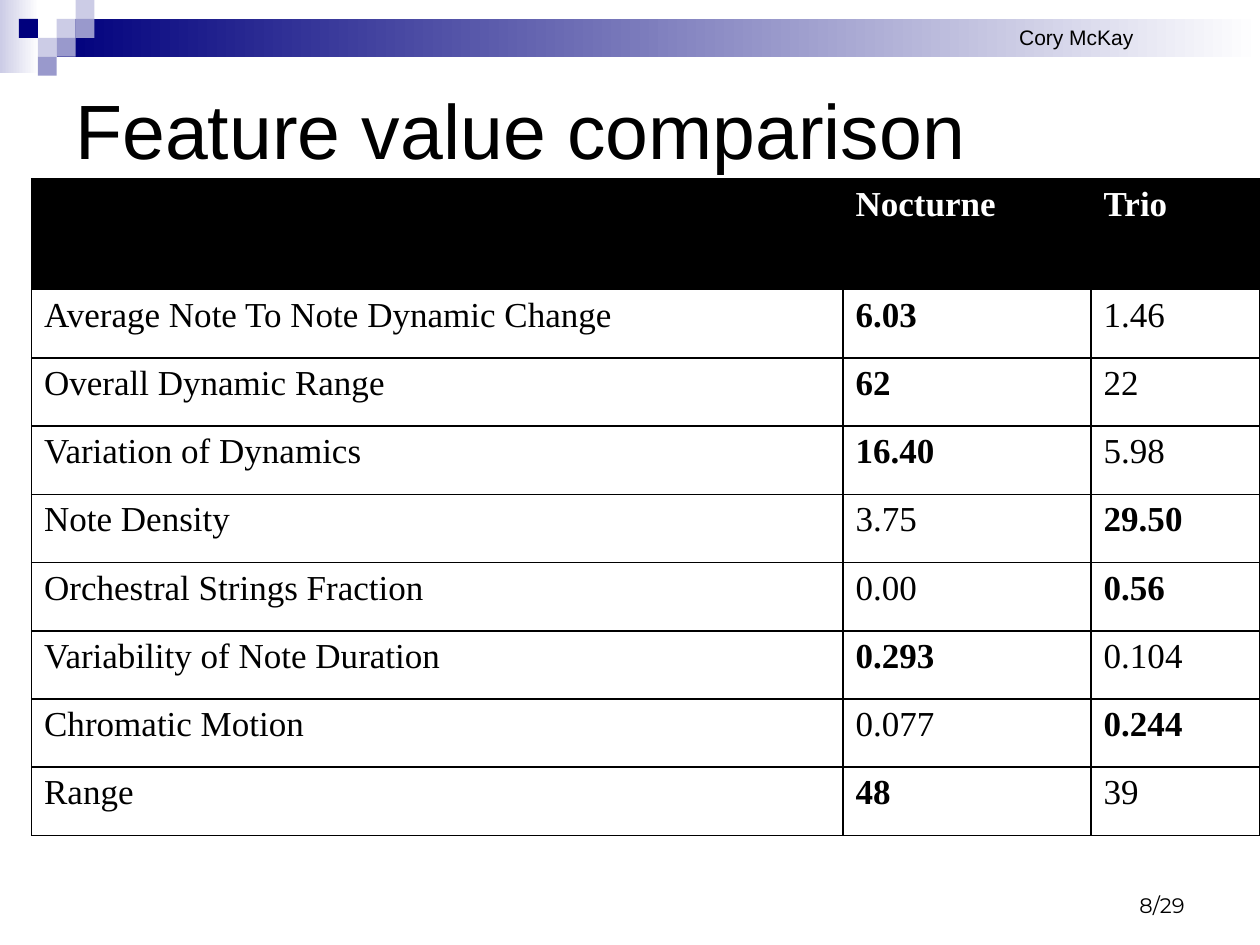
"""Build the feature value comparison slide."""
from dataclasses import dataclass

from lxml import etree
from pptx import Presentation
from pptx.dml.color import RGBColor
from pptx.enum.shapes import MSO_SHAPE
from pptx.enum.text import MSO_ANCHOR, PP_ALIGN
from pptx.oxml.ns import qn
from pptx.util import Pt

RECTANGLE = MSO_SHAPE.RECTANGLE
MIDDLE, BOTTOM = MSO_ANCHOR.MIDDLE, MSO_ANCHOR.BOTTOM
LEFT, RIGHT = PP_ALIGN.LEFT, PP_ALIGN.RIGHT


@dataclass(frozen=True)
class Theme:
    """Colours, fonts and type sizes."""
    navy: str = "00007D"
    violet: str = "9999CC"
    lilac: str = "CCCCE6"
    white: str = "FFFFFF"
    black: str = "000000"
    sans: str = "Arial"
    serif: str = "Times New Roman"
    number_font: str = "Montserrat"
    title_size: int = 44
    table_size: int = 20
    small_size: int = 12


THEME = Theme()
HEADER = ("", "Nocturne", "Trio")
FEATURES = [
    ("Average Note To Note Dynamic Change", "6.03", "1.46"),
    ("Overall Dynamic Range", "62", "22"),
    ("Variation of Dynamics", "16.40", "5.98"),
    ("Note Density", "3.75", "29.50"),
    ("Orchestral Strings Fraction", "0.00", "0.56"),
    ("Variability of Note Duration", "0.293", "0.104"),
    ("Chromatic Motion", "0.077", "0.244"),
    ("Range", "48", "39"),
]
COLUMN_WIDTHS = (463.7, 141.8, 96.5)
HEADER_HEIGHT, ROW_HEIGHT = 63.4, 39
TABLE_LEFT, TABLE_TOP = 18, 102.2

GRADIENT_BARS = [
    ((0, 0, 22.3, 41.8), THEME.lilac),
    ((32.4, 10.8, 687.6, 21.6), THEME.navy),
]
SQUARE = 10.8
SQUARES = [
    (3, 1, THEME.lilac), (4, 0, THEME.lilac), (4, 1, THEME.violet),
    (2, 2, THEME.lilac), (1, 1, THEME.navy), (3, 2, THEME.violet),
    (2, 3, THEME.violet),
]
TEXTS = [
    ("Cory McKay", (575.3, 10.4, 85, 21.6), THEME.sans, THEME.small_size, LEFT, MIDDLE),
    ("8/29", (516.2, 502.6, 167.8, 25.2), THEME.number_font, THEME.small_size, RIGHT, BOTTOM),
    ("Feature value comparison", (36, 36, 648, 75.6), THEME.sans, THEME.title_size, LEFT, MIDDLE),
]


def points(values):
    return [Pt(value) for value in values]


def rgb(color):
    return RGBColor.from_string(color)


def style_runs(paragraph, font_name, size, color, bold=False):
    for run in paragraph.runs:
        run.font.name = font_name
        run.font.size = Pt(size)
        run.font.bold = bold
        run.font.color.rgb = rgb(color)


def add_rectangle(slide, box, color, fade=False):
    shape = slide.shapes.add_shape(RECTANGLE, *points(box))
    shape.shadow.inherit = False
    shape.line.fill.background()
    if fade:
        shape.fill.gradient()
        shape.fill.gradient_angle = 0
        for stop, stop_color, position in zip(shape.fill.gradient_stops, (color, THEME.white), (0, 1)):
            stop.color.rgb = rgb(stop_color)
            stop.position = position
    else:
        shape.fill.solid()
        shape.fill.fore_color.rgb = rgb(color)


def add_text(slide, text, box, font_name, size, alignment, anchor):
    text_frame = slide.shapes.add_textbox(*points(box)).text_frame
    text_frame.word_wrap = True
    text_frame.vertical_anchor = anchor
    text_frame.text = text
    paragraph = text_frame.paragraphs[0]
    paragraph.alignment = alignment
    style_runs(paragraph, font_name, size, THEME.black)


def add_borders(cell):
    properties = cell._tc.get_or_add_tcPr()
    for side in ("lnL", "lnR", "lnT", "lnB"):
        line = etree.SubElement(properties, qn(f"a:{side}"), w=str(Pt(1)))
        fill = etree.SubElement(line, qn("a:solidFill"))
        etree.SubElement(fill, qn("a:srgbClr"), val=THEME.black)


def fill_cell(cell, text, is_header, bold):
    add_borders(cell)
    if is_header:
        cell.fill.solid()
        cell.fill.fore_color.rgb = rgb(THEME.black)
    else:
        cell.fill.background()
    cell.text_frame.text = text
    color = THEME.white if is_header else THEME.black
    style_runs(cell.text_frame.paragraphs[0], THEME.serif, THEME.table_size, color, bold)


def add_feature_table(slide):
    rows = [HEADER, *FEATURES]
    heights = [HEADER_HEIGHT] + [ROW_HEIGHT] * len(FEATURES)
    box = (TABLE_LEFT, TABLE_TOP, sum(COLUMN_WIDTHS), sum(heights))
    table = slide.shapes.add_table(len(rows), len(HEADER), *points(box)).table
    table.first_row = table.horz_banding = False
    for column, width in zip(table.columns, COLUMN_WIDTHS):
        column.width = Pt(width)
    for row_index, (values, height) in enumerate(zip(rows, heights)):
        table.rows[row_index].height = Pt(height)
        is_header = row_index == 0
        highest = None if is_header else max(values[1:], key=float)
        for column_index, text in enumerate(values):
            fill_cell(table.cell(row_index, column_index), text, is_header, is_header or text == highest)


def main():
    presentation = Presentation()
    presentation.slide_width, presentation.slide_height = Pt(720), Pt(540)
    slide = presentation.slides.add_slide(presentation.slide_layouts[6])
    for box, color in GRADIENT_BARS:
        add_rectangle(slide, box, color, fade=True)
    for column, row, color in SQUARES:
        add_rectangle(slide, (column * SQUARE, row * SQUARE, SQUARE, SQUARE), color)
    for text in TEXTS:
        add_text(slide, *text)
    add_feature_table(slide)
    presentation.save("out.pptx")


if __name__ == "__main__":
    main()
